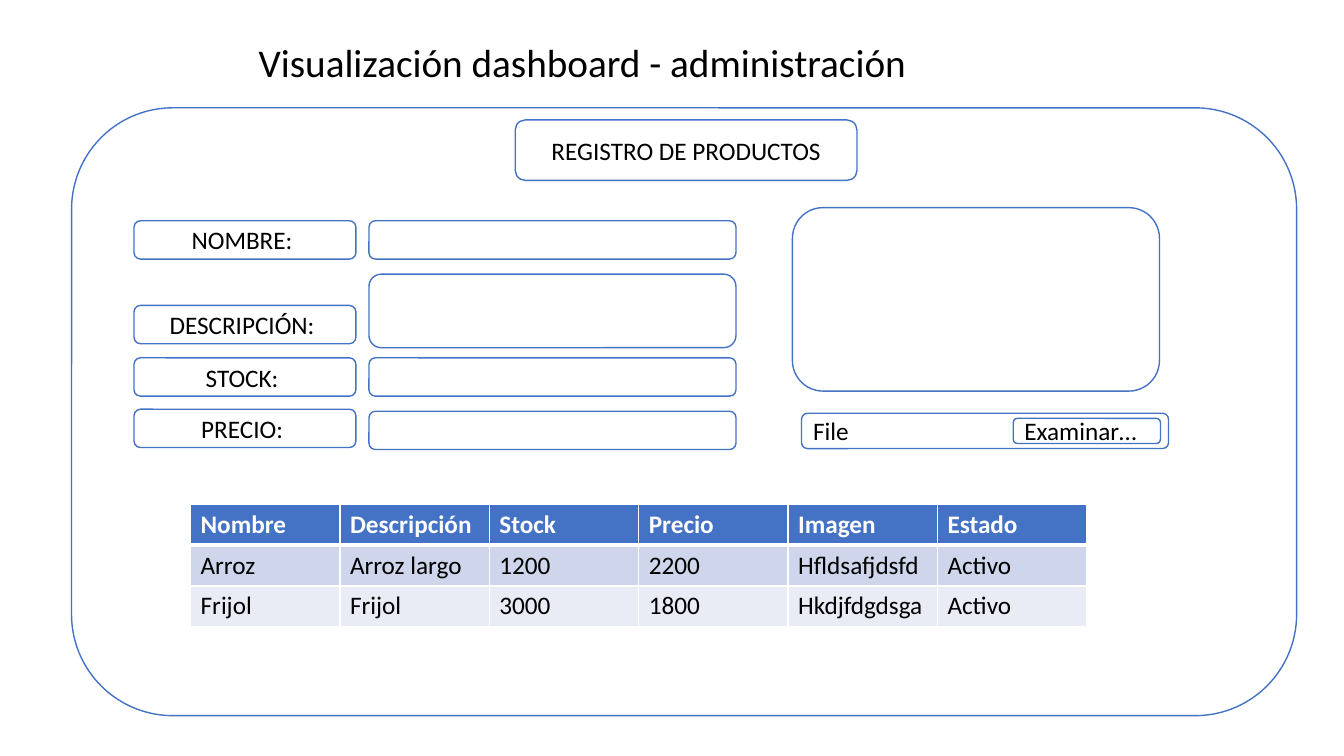
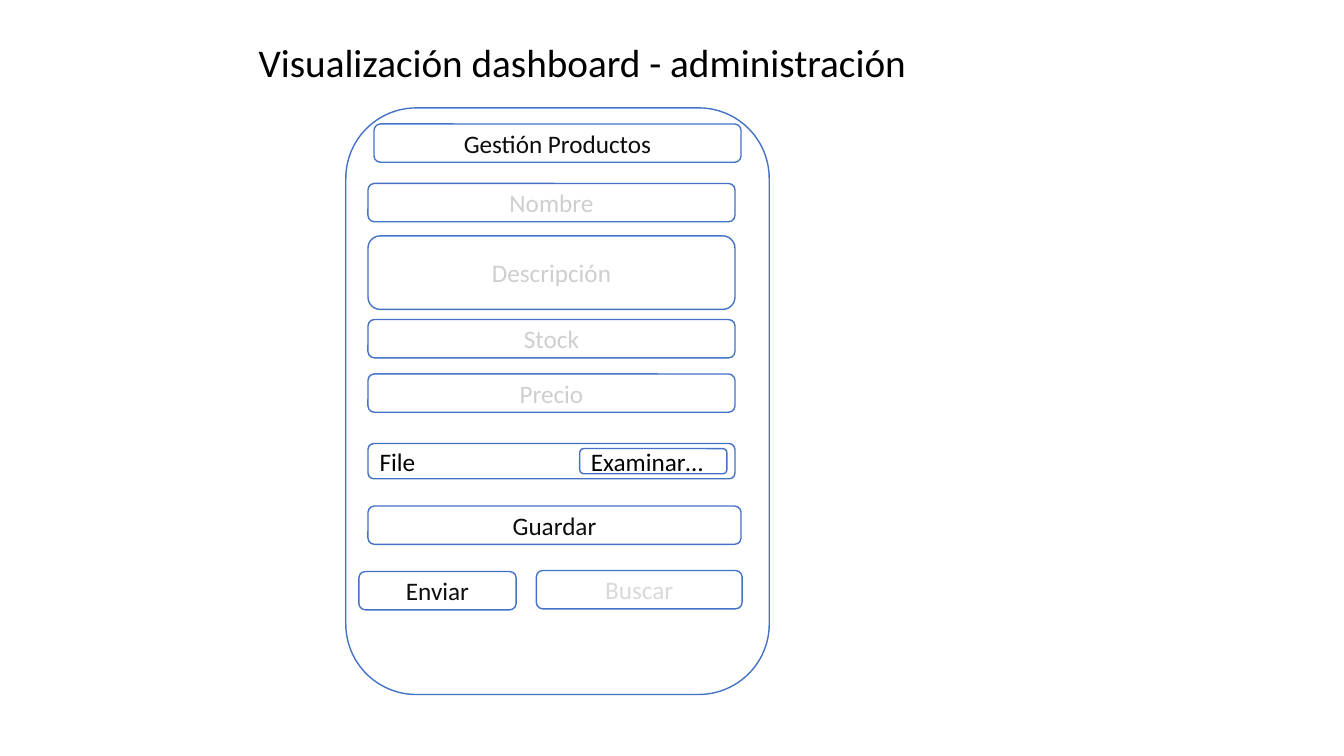
"""Build two wireframe slides for a product administration dashboard."""
import collections

import lxml.etree
import pptx
import pptx.dml.color
import pptx.enum.shapes
import pptx.enum.text
import pptx.oxml.ns
import pptx.util

PX = 9144
Theme = collections.namedtuple("Theme", "font blue black ink hint pale white odd even head body line")
theme = Theme(font="Calibri", blue="4472C4", black="000000", ink="0D0D0D",
              hint="D0CECE", pale="D9D9D9", white="FFFFFF", odd="CFD5EA",
              even="E9EBF5", head=28, body=18, line=1)
rgb = pptx.dml.color.RGBColor.from_string
align = pptx.enum.text.PP_ALIGN
anchor = pptx.enum.text.MSO_ANCHOR
qn = pptx.oxml.ns.qn


def write(frame, text, size=theme.body, color=theme.black, bold=False,
          side=align.CENTER, hold=anchor.MIDDLE, space=None):
    frame.word_wrap = True
    frame.vertical_anchor = hold
    para = frame.paragraphs[0]
    para.alignment = side
    para.line_spacing = space
    run = para.add_run()
    run.text = text
    run.font.name = theme.font
    run.font.size = pptx.util.Pt(size)
    run.font.bold = bold
    run.font.color.rgb = rgb(color)


def box(slide, left, top, width, height, text="", **style):
    shape = slide.shapes.add_shape(pptx.enum.shapes.MSO_SHAPE.ROUNDED_RECTANGLE,
                                   left * PX, top * PX, width * PX, height * PX)
    shape.shadow.inherit = False
    shape.fill.background()
    shape.line.color.rgb = rgb(theme.blue)
    shape.line.width = pptx.util.Pt(theme.line)
    if text:
        write(shape.text_frame, text, **style)


deck = pptx.Presentation()
deck.slide_width = 1333 * PX
deck.slide_height = 750 * PX

ROW, TALL, WIDE = 38, 73, 364
panels = [(71, 107, 1215, 603), (343, 107, 420, 582)]
files = [(795, 410), (365, 440)]
slides = []
for panel, (left, top) in zip(panels, files):
    slide = deck.slides.add_slide(deck.slide_layouts[6])
    title = slide.shapes.add_textbox(171 * PX, 40 * PX, 813 * PX, 50 * PX)
    write(title.text_frame, "Visualización dashboard - administración",
          size=theme.head, hold=anchor.BOTTOM, space=0.9)
    box(slide, *panel)
    box(slide, left, top, WIDE, 35, "File", side=align.LEFT)
    box(slide, left + 210, top + 5, 146, 25, "Examinar…", side=align.LEFT)
    slides.append(slide)
desk, phone = slides

box(desk, 511, 119, 339, 60, "REGISTRO DE PRODUCTOS")
box(desk, 786, 206, WIDE, 182)
form = [("NOMBRE: ", 219, 219, ROW), ("DESCRIPCIÓN: ", 303, 272, TALL),
        ("STOCK: ", 355, 355, ROW), ("PRECIO: ", 406, 408, ROW)]
for label, top, field, height in form:
    box(desk, 133, top, 220, ROW, label)
    box(desk, 366, field, WIDE, height)

rows = [("Nombre", "Descripción", "Stock", "Precio", "Imagen", "Estado"),
        ("Arroz", "Arroz largo", "1200", "2200", "Hfldsafjdsfd", "Activo"),
        ("Frijol", "Frijol", "3000", "1800", "Hkdjfdgdsga", "Activo")]
fills = [theme.blue, theme.odd, theme.even]
grid = desk.shapes.add_table(len(rows), len(rows[0]), 189 * PX, 500 * PX,
                             889 * PX, 122 * PX).table
for r, (row, fill) in enumerate(zip(rows, fills)):
    first = r == 0
    edges = {"a:lnL": 1, "a:lnR": 1, "a:lnT": 3 if r == 1 else 1,
             "a:lnB": 3 if first else 1}
    for c, text in enumerate(row):
        cell = grid.cell(r, c)
        write(cell.text_frame, text, bold=first, side=align.LEFT, hold=anchor.TOP,
              color=theme.white if first else theme.black)
        props = cell._tc.get_or_add_tcPr()
        for tag, width in edges.items():
            edge = lxml.etree.SubElement(props, qn(tag), w=str(pptx.util.Pt(width)))
            solid = lxml.etree.SubElement(edge, qn("a:solidFill"))
            lxml.etree.SubElement(solid, qn("a:srgbClr"), val=theme.white)
        cell.fill.solid()
        cell.fill.fore_color.rgb = rgb(fill)

items = [("Gestión Productos", 371, 123, WIDE, ROW, theme.ink),
         ("Nombre", 365, 182, WIDE, ROW, theme.hint),
         ("Descripción", 365, 234, WIDE, TALL, theme.hint),
         ("Stock", 365, 317, WIDE, ROW, theme.hint),
         ("Precio", 365, 371, WIDE, ROW, theme.hint),
         ("Guardar", 365, 502, 370, ROW, theme.ink),
         ("Buscar", 532, 566, 204, ROW, theme.pale),
         ("Enviar", 356, 567, 156, ROW, theme.ink)]
for text, left, top, width, height, color in items:
    box(phone, left, top, width, height, text, color=color)

deck.save("out.pptx")
